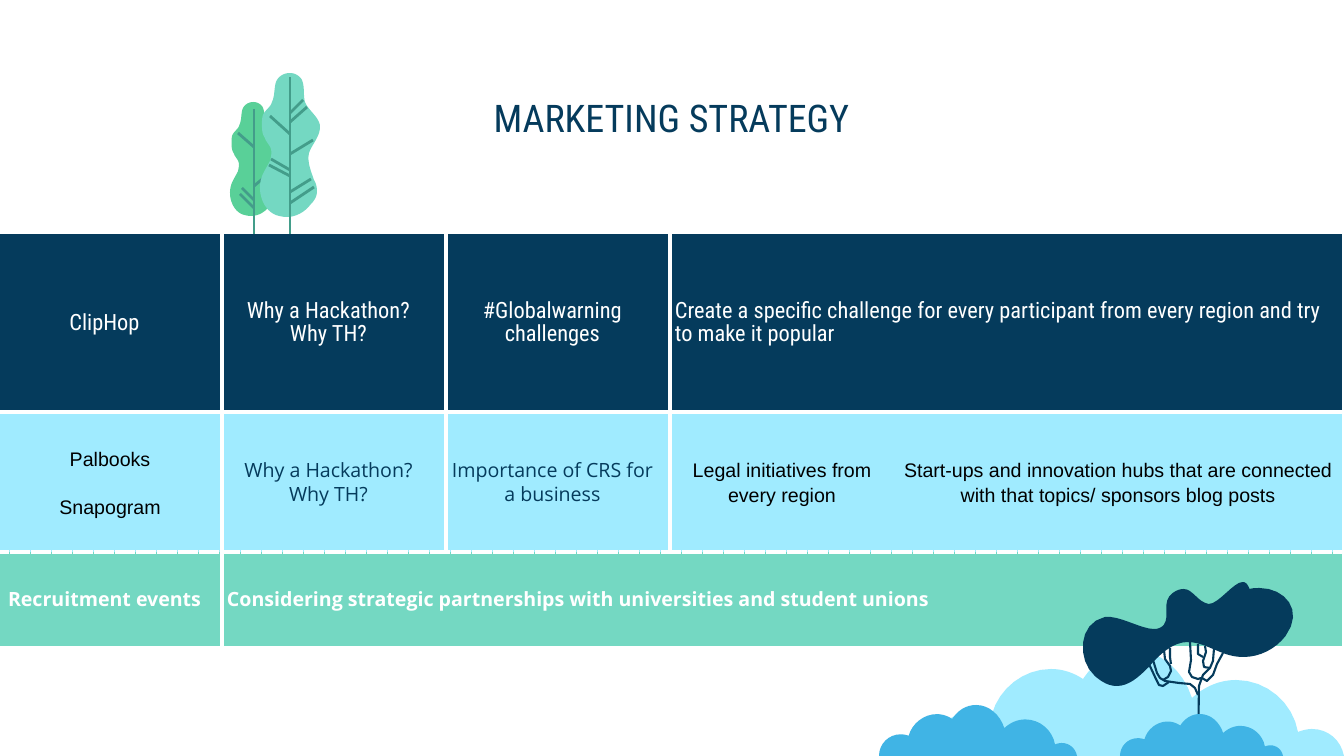
"""Build the marketing strategy slide: a table of channels with a leafy scene."""
from lxml.etree import SubElement
from pptx import Presentation
from pptx.dml.color import RGBColor
from pptx.enum.text import MSO_ANCHOR as ANCHOR, PP_ALIGN as ALIGN
from pptx.oxml import parse_xml
from pptx.oxml.ns import nsdecls, qn
from pptx.util import Emu, Pt

W, H = 1344, 756
PX = 914400 / 50.4
NAVY, SKY, MINT, WHITE, BLACK = "053B5C", "A0EBFF", "74D8C2", "FFFFFF", "000000"
GREEN, VEIN, BLUE = "59D098", "439D8A", "40B4E5"

TITLE = "MARKETING STRATEGY"
TABLE_LEFT, TABLE_TOP, COL_W, COLS = -2, 234, 224, 6
INSET, WIDE_INSET = 5, 16
DIVIDERS = (1, 2, 3)

# style: font, size, colour, bold, line spacing, right inset
STYLES = {
    "head": ("Roboto Condensed", 32, WHITE, False, 0.9, WIDE_INSET),
    "wide": ("Roboto Condensed", 32, WHITE, False, 0.9, INSET),
    "plain": ("Arial", 28, BLACK, False, 1.15, INSET),
    "topic": ("Open Sans", 28, NAVY, False, 0.9, WIDE_INSET),
    "event": ("Open Sans", 28, WHITE, True, 0.9, WIDE_INSET),
}
LEFT, CENTER = ALIGN.LEFT, ALIGN.CENTER
# row: height, fill, cells of (span, style, alignment, paragraphs)
ROWS = [
    (178, NAVY, [
        (1, "head", CENTER, ["ClipHop"]),
        (1, "head", CENTER, ["Why a Hackathon? Why TH?"]),
        (1, "head", CENTER, ["#Globalwarning challenges"]),
        (3, "wide", LEFT, ["Create a specific challenge for every participant "
                           "from every region and try to make it popular"]),
    ]),
    (140, SKY, [
        (1, "plain", CENTER, ["Palbooks", "Snapogram"]),
        (1, "topic", CENTER, ["Why a Hackathon? Why TH?"]),
        (1, "topic", CENTER, ["Importance of CRS for a business"]),
        (1, "plain", CENTER, ["Legal initiatives from every region"]),
        (2, "plain", CENTER, ["Start-ups and innovation hubs that are connected "
                              "with that topics/ sponsors blog posts"]),
    ]),
    (94, MINT, [
        (1, "event", CENTER, ["Recruitment events"]),
        (5, "event", LEFT, ["Considering strategic partnerships with "
                            "universities and student unions"]),
    ]),
]

# Bezier outlines: start point, then two controls and an end point per row
LEAF = [
    290, 73,
    295, 73, 300, 76, 302, 80, 305, 87, 303, 95, 305, 102,
    308, 110, 318, 116, 320, 125, 321, 136, 312, 144, 309, 153,
    307, 162, 311, 171, 314, 180, 316, 183, 317, 187, 317, 191,
    317, 196, 315, 200, 311, 204, 305, 212, 296, 217, 287, 217,
    283, 217, 279, 216, 276, 215, 268, 212, 263, 204, 261, 196,
    259, 188, 260, 179, 264, 172, 266, 168, 268, 165, 270, 161,
    271, 157, 272, 153, 271, 149, 270, 145, 266, 142, 265, 138,
    262, 134, 262, 129, 262, 124, 262, 121, 262, 118, 263, 115,
    265, 110, 271, 107, 272, 102, 275, 96, 274, 88, 276, 82,
    278, 77, 283, 73, 290, 73,
]
CLOUD = [
    1133, 650,
    1160, 650, 1183, 670, 1192, 698, 1204, 687, 1219, 680, 1236, 680,
    1267, 680, 1293, 703, 1298, 732, 1303, 730, 1308, 729, 1312, 729,
    1328, 729, 1341, 740, 1344, 756, 1344, 756, 930, 756, 930, 756,
    930, 731, 950, 711, 975, 711, 981, 711, 987, 712, 992, 714,
    999, 689, 1023, 669, 1051, 669, 1063, 669, 1074, 673, 1083, 679,
    1095, 661, 1112, 650, 1133, 650,
]
CROWN = [
    1242, 582,
    1233, 582, 1218, 604, 1208, 604, 1197, 602, 1192, 589, 1183, 589,
    1180, 589, 1176, 590, 1172, 593, 1160, 602, 1170, 615, 1163, 625,
    1160, 628, 1157, 629, 1153, 629, 1140, 629, 1118, 615, 1104, 617,
    1077, 623, 1076, 660, 1094, 676, 1102, 683, 1109, 686, 1116, 686,
    1128, 686, 1138, 677, 1148, 667, 1158, 655, 1172, 642, 1187, 642,
    1200, 642, 1213, 650, 1225, 654, 1231, 656, 1237, 657, 1243, 657,
    1259, 657, 1275, 649, 1285, 636, 1304, 610, 1284, 588, 1259, 588,
    1256, 588, 1252, 588, 1249, 589, 1247, 584, 1245, 582, 1242, 582,
]
# tree: leaf box, fill, veins from point to point
TREES = [
    ((230, 102, 47, 114), GREEN, [
        (254, 109, 254, 256), (238, 133, 254, 147), (266, 176, 254, 186),
        (240, 194, 254, 208), (242, 188, 254, 200)]),
    ((260, 73, 60, 144), MINT, [
        (290, 77, 290, 256), (303, 100, 290, 113), (307, 107, 290, 122),
        (313, 140, 290, 154), (311, 179, 290, 192), (314, 187, 290, 203),
        (290, 134, 270, 116), (290, 170, 271, 159), (290, 176, 269, 165)]),
]
BACK_CLOUD = (930, 650, 414, 106)
FRONT_CLOUDS = [(879, 705, 198, 51), (1120, 714, 163, 42)]
CROWN_BOX = (1083, 582, 210, 104)
BRANCHES = [
    [(1149, 664), (1156, 679), (1159, 685), (1163, 686), (1169, 682)],
    [(1153, 660), (1157, 673), (1160, 678), (1165, 681), (1179, 683),
     (1190, 684), (1195, 688), (1198, 695)],
    [(1164, 650), (1165, 659), (1170, 666), (1171, 671), (1168, 677), (1163, 680)],
    [(1170, 648), (1170, 657), (1171, 664)],
    [(1190, 642), (1191, 660), (1189, 672), (1192, 677), (1198, 679), (1201, 678)],
    [(1223, 653), (1217, 664), (1213, 675), (1207, 681), (1202, 678)],
    [(1214, 649), (1213, 661), (1210, 668), (1203, 675), (1199, 686), (1198, 756)],
    [(1198, 644), (1198, 654), (1203, 657)],
    [(1205, 646), (1206, 652), (1203, 661), (1204, 667), (1210, 668)],
]


def px(n):
    return Emu(round(n * PX))


def rgb(color):
    return RGBColor.from_string(color)


def flatten(outline, steps=8):
    pairs = list(zip(outline[::2], outline[1::2]))
    points = pairs[:1]
    for i in range(0, len(pairs) - 1, 3):
        a, b, c, d = pairs[i:i + 4]
        for t in (k / steps for k in range(1, steps + 1)):
            u = 1 - t
            points.append(tuple(
                u**3 * a[j] + 3 * u * u * t * b[j] + 3 * u * t * t * c[j] + t**3 * d[j]
                for j in (0, 1)))
    return points


def add_path(shapes, points, close):
    pts = [(px(x), px(y)) for x, y in points]
    builder = shapes.build_freeform(*pts[0])
    builder.add_line_segments(pts[1:], close=close)
    sp = builder.convert_to_shape()
    sp.shadow.inherit = False
    return sp


def add_blob(shapes, outline, box, color):
    points = flatten(outline)
    lows = [min(axis) for axis in zip(*points)]
    sizes = [max(axis) - low for axis, low in zip(zip(*points), lows)]
    placed = [tuple(box[j] + (p[j] - lows[j]) * box[j + 2] / sizes[j] for j in (0, 1))
              for p in points]
    sp = add_path(shapes, placed, True)
    sp.fill.solid()
    sp.fill.fore_color.rgb = rgb(color)
    sp.line.fill.background()


def add_branch(shapes, points):
    sp = add_path(shapes, points, False)
    sp.fill.background()
    sp.line.color.rgb = rgb(NAVY)
    sp.line.width = Pt(3)


def add_vein(shapes, ends):
    line = shapes.add_connector(1, *map(px, ends))
    line.line.color.rgb = rgb(VEIN)
    line.line.width = Pt(4)
    SubElement(line._element.spPr, qn("a:effectLst"))


def set_borders(cell, dashes):
    tc_pr = cell._tc.get_or_add_tcPr()
    for i, (side, dash) in enumerate(zip("LRTB", dashes)):
        paint = (f'<a:solidFill><a:srgbClr val="{WHITE}"/></a:solidFill>'
                 f'<a:prstDash val="{dash}"/>' if dash else "<a:noFill/>")
        tc_pr.insert(i, parse_xml(
            f'<a:ln{side} {nsdecls("a")} w="{Pt(6)}">{paint}</a:ln{side}>'))


def fill_cell(cell, style, align, texts):
    font, size, color, bold, spacing, right = STYLES[style]
    cell.vertical_anchor = ANCHOR.MIDDLE
    cell.margin_left = cell.margin_top = cell.margin_bottom = px(INSET)
    cell.margin_right = px(right)
    tf = cell.text_frame
    tf.text = "\n".join(texts)
    for i, p in enumerate(tf.paragraphs):
        p.alignment, p.line_spacing = align, spacing
        if i:
            p.space_before = Pt(32)
        p.font.name, p.font.size, p.font.bold = font, Pt(size), bold
        p.font.color.rgb = rgb(color)


def add_channels(shapes):
    height = sum(row[0] for row in ROWS)
    table = shapes.add_table(len(ROWS), COLS, px(TABLE_LEFT), px(TABLE_TOP),
                             px(COL_W * COLS), px(height)).table
    table.first_row = table.horz_banding = False
    for r, (row_h, fill, cells) in enumerate(ROWS):
        table.rows[r].height = px(row_h)
        top, bottom = (None, "solid", "dot")[r], ("solid", "dot", None)[r]
        col = 0
        for span, style, align, texts in cells:
            end = col + span
            for c in range(col, end):
                cell = table.cell(r, c)
                cell.fill.solid()
                cell.fill.fore_color.rgb = rgb(fill)
                left = "solid" if c == col and c in DIVIDERS else None
                right = "solid" if c + 1 == end and end in DIVIDERS else None
                set_borders(cell, (left, right, top, bottom))
            if span > 1:
                table.cell(r, col).merge(table.cell(r, end - 1))
            fill_cell(table.cell(r, col), style, align, texts)
            col = end


def add_title(title):
    title.left, title.top, title.width, title.height = map(px, (105, 80, 1133, 84))
    tf = title.text_frame
    tf.text = TITLE
    tf.vertical_anchor = ANCHOR.TOP
    tf.margin_left = tf.margin_right = tf.margin_top = tf.margin_bottom = px(14)
    p = tf.paragraphs[0]
    p.alignment = CENTER
    p.font.name, p.font.size = "Roboto Condensed", Pt(54.4)
    p.font.color.rgb = rgb(NAVY)


def main():
    prs = Presentation()
    prs.slide_width, prs.slide_height = px(W), px(H)
    s = prs.slides.add_slide(prs.slide_layouts[5])
    shapes = s.shapes
    add_title(shapes.title)
    for box, color, veins in TREES:
        add_blob(shapes, LEAF, box, color)
        for ends in veins:
            add_vein(shapes, ends)
    add_channels(shapes)
    add_blob(shapes, CLOUD, BACK_CLOUD, SKY)
    add_blob(shapes, CROWN, CROWN_BOX, NAVY)
    for points in BRANCHES:
        add_branch(shapes, points)
    for box in FRONT_CLOUDS:
        add_blob(shapes, CLOUD, box, BLUE)
    prs.save("out.pptx")


if __name__ == "__main__":
    main()
